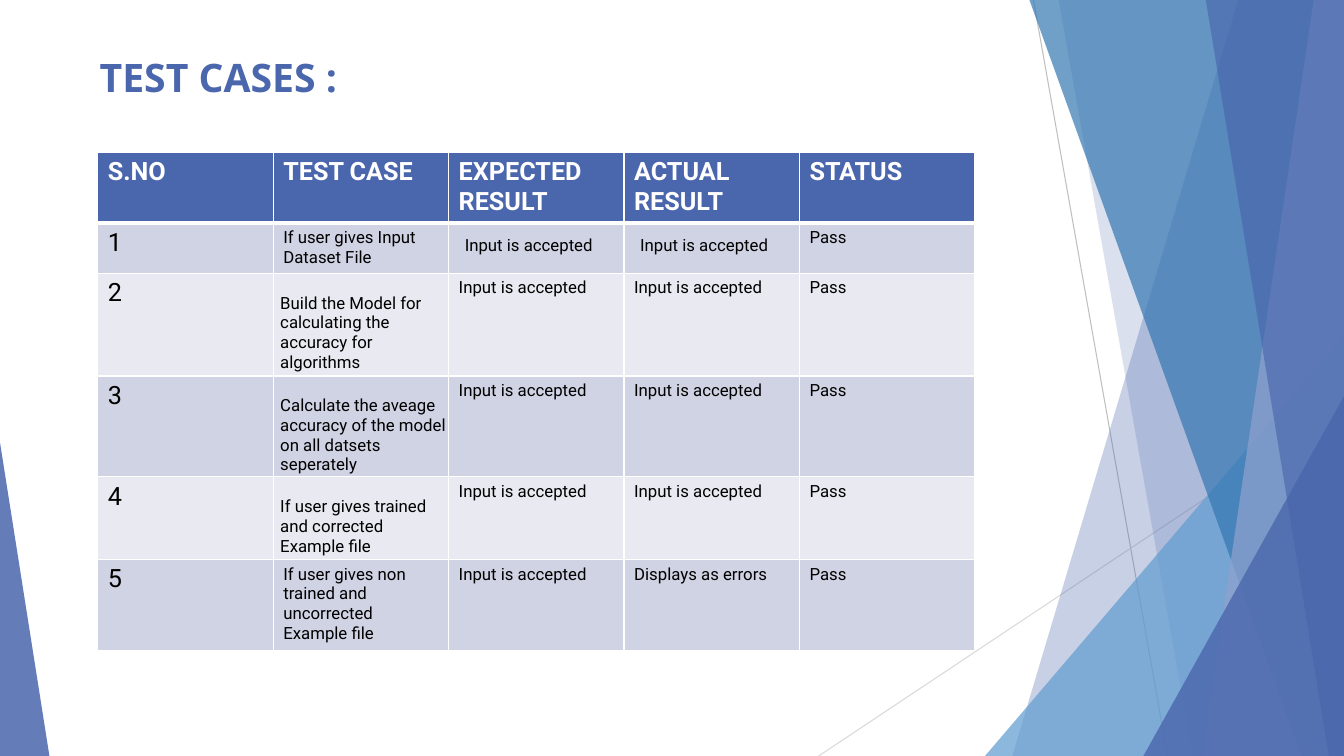
from dataclasses import dataclass

from lxml.etree import SubElement
from pptx import Presentation
from pptx.dml.color import RGBColor
from pptx.enum.shapes import MSO_CONNECTOR as Connector, MSO_SHAPE as Shape
from pptx.enum.text import MSO_ANCHOR as Anchor
from pptx.oxml.ns import qn
from pptx.util import Inches, Pt


@dataclass(frozen=True)
class Theme:
    accent: str = "4A66AC"
    sky: str = "629DD1"
    ocean: str = "3477B2"
    haze: str = "90A2CF"
    white: str = "FFFFFF"
    black: str = "000000"
    band_dark: str = "D0D3E3"
    band_light: str = "E9EAF1"
    line_dark: str = "BFBFBF"
    line_light: str = "D9D9D9"
    title_font: str = "Open Sans"
    body_font: str = "Roboto"
    title_size: float = 28
    large_size: float = 18
    body_size: float = 12


THEME = Theme()
WIDTH, HEIGHT = 13.33, 7.5

# Table content and layout
HEADERS = ["S.NO", "TEST CASE", "EXPECTED RESULT", "ACTUAL RESULT", "STATUS"]
ACCEPTED = "Input is accepted"
TEST_CASES = [
    ("If user gives Input Dataset File", ACCEPTED),
    ("Build the Model for calculating the accuracy for algorithms", ACCEPTED),
    ("Calculate the aveage accuracy of the model on all datsets seperately", ACCEPTED),
    ("If user gives trained and corrected Example file", ACCEPTED),
    ("If user gives non trained and uncorrected Example file", "Displays as errors"),
]
COLUMN_WIDTH = 1.74
ROW_HEIGHTS = [0.7, 0.5, 1.02, 1, 0.82, 0.9]
# Cell insets: left, top, right, bottom
DEFAULT_INSETS = (0.1, 0.05, 0.1, 0.05)
RESULT_INSETS = (0.16, 0.13, 0, 0)
LOWERED_INSETS = (0.07, 0.2, 0, 0)
LOWERED_ROWS = (2, 3, 4)

# Decoration: start, end, colour
LINES = [
    ((10.25, 0), (11.58, HEIGHT), THEME.line_dark),
    ((WIDTH, 4.03), (8.12, HEIGHT), THEME.line_light),
]
# Bands reach the right edge: top left x, bottom left x, colour, opacity
BACK_BANDS = [(12.28, 10.04, THEME.accent, 30), (10.5, 11.83, THEME.accent, 20)]
FRONT_BANDS = [
    (10.21, 12.91, THEME.ocean, 70),
    (13.03, 11.92, THEME.haze, 70),
    (11.96, 13.18, THEME.accent, 65),
]
# Triangles stand on the bottom edge: left, width, height, apex, colour, opacity
BACK_TRIANGLE = (9.77, 3.56, 4.17, 1, THEME.sky, 72)
FRONT_TRIANGLES = [
    (11.34, 1.99, 3.57, 1, THEME.accent, 80),
    (0, 0.49, 3.11, 0, THEME.accent, 85),
]


def rgb(colour):
    return RGBColor.from_string(colour)


def apply_format(target, values):
    for name, value in values.items():
        setattr(target, name, value)


def fill_shape(shape, colour, opacity):
    shape.shadow.inherit = False
    shape.line.fill.background()
    shape.fill.solid()
    shape.fill.fore_color.rgb = rgb(colour)
    colour_element = next(shape.element.spPr.iter(qn("a:srgbClr")))
    SubElement(colour_element, qn("a:alpha"), val=str(opacity * 1000))


def add_line(slide, start, end, colour):
    points = [Inches(value) for value in (*start, *end)]
    line = slide.shapes.add_connector(Connector.STRAIGHT, *points)
    line.line.color.rgb = rgb(colour)
    line.line.width = Pt(0.75)
    SubElement(line.element.spPr, qn("a:effectLst"))


def add_band(slide, top_x, bottom_x, colour, opacity):
    builder = slide.shapes.build_freeform(Inches(top_x), 0)
    corners = [(WIDTH, 0), (WIDTH, HEIGHT), (bottom_x, HEIGHT)]
    builder.add_line_segments([(Inches(x), Inches(y)) for x, y in corners], close=True)
    fill_shape(builder.convert_to_shape(), colour, opacity)


def add_triangle(slide, left, width, height, apex, colour, opacity):
    box = [Inches(value) for value in (left, HEIGHT - height, width, height)]
    shape = slide.shapes.add_shape(Shape.ISOSCELES_TRIANGLE, *box)
    shape.adjustments[0] = apex
    fill_shape(shape, colour, opacity)


def write_text(text_frame, text, font, size, colour, bold=False):
    run = text_frame.paragraphs[0].add_run()
    run.text = text
    apply_format(run.font, {"name": font, "size": Pt(size), "bold": bold})
    run.font.color.rgb = rgb(colour)


def add_title(slide, text):
    box = slide.shapes.add_textbox(Inches(0.89), Inches(0.48), Inches(8.37), Inches(0.56))
    apply_format(box.text_frame, {"word_wrap": True, "vertical_anchor": Anchor.MIDDLE})
    write_text(box.text_frame, text, THEME.title_font, THEME.title_size, THEME.accent, True)


def set_borders(cell, top, bottom):
    properties = cell._tc.get_or_add_tcPr()
    widths = {"a:lnL": 1, "a:lnR": 1, "a:lnT": top, "a:lnB": bottom}
    for position, (tag, width) in enumerate(widths.items()):
        border = properties.makeelement(qn(tag), {"w": str(Pt(width))})
        properties.insert(position, border)
        fill = SubElement(border, qn("a:solidFill"))
        SubElement(fill, qn("a:srgbClr"), val=THEME.white)


def cell_insets(row, column):
    if row == 1 and column in (2, 3):
        return RESULT_INSETS
    if row in LOWERED_ROWS and column == 1:
        return LOWERED_INSETS
    return DEFAULT_INSETS


def fill_cell(cell, row, column, text):
    header = row == 0
    band = THEME.band_dark if row % 2 else THEME.band_light
    cell.fill.solid()
    cell.fill.fore_color.rgb = rgb(THEME.accent if header else band)
    set_borders(cell, top=3 if row == 1 else 1, bottom=3 if header else 1)
    sides = ("margin_left", "margin_top", "margin_right", "margin_bottom")
    insets = [Inches(value) for value in cell_insets(row, column)]
    apply_format(cell, dict(zip(sides, insets)))
    size = THEME.large_size if header or column == 0 else THEME.body_size
    colour = THEME.white if header else THEME.black
    write_text(cell.text_frame, text, THEME.body_font, size, colour, header)


def add_test_table(slide):
    rows = [HEADERS]
    for number, (case, actual) in enumerate(TEST_CASES, 1):
        rows.append([str(number), case, ACCEPTED, actual, "Pass"])
    box = (0.97, 1.51, COLUMN_WIDTH * len(HEADERS), sum(ROW_HEIGHTS))
    frame = slide.shapes.add_table(len(rows), len(HEADERS), *map(Inches, box))
    table = frame.table
    for column in table.columns:
        column.width = Inches(COLUMN_WIDTH)
    for row, texts in enumerate(rows):
        table.rows[row].height = Inches(ROW_HEIGHTS[row])
        for column, text in enumerate(texts):
            fill_cell(table.cell(row, column), row, column, text)


def main():
    presentation = Presentation()
    size = {"slide_width": Inches(WIDTH), "slide_height": Inches(HEIGHT)}
    apply_format(presentation, size)
    slide = presentation.slides.add_slide(presentation.slide_layouts[6])

    # Decoration, from back to front
    for line in LINES:
        add_line(slide, *line)
    for band in BACK_BANDS:
        add_band(slide, *band)
    add_triangle(slide, *BACK_TRIANGLE)
    for band in FRONT_BANDS:
        add_band(slide, *band)
    for triangle in FRONT_TRIANGLES:
        add_triangle(slide, *triangle)

    # Content
    add_title(slide, "TEST CASES :")
    add_test_table(slide)
    presentation.save("out.pptx")


if __name__ == "__main__":
    main()
